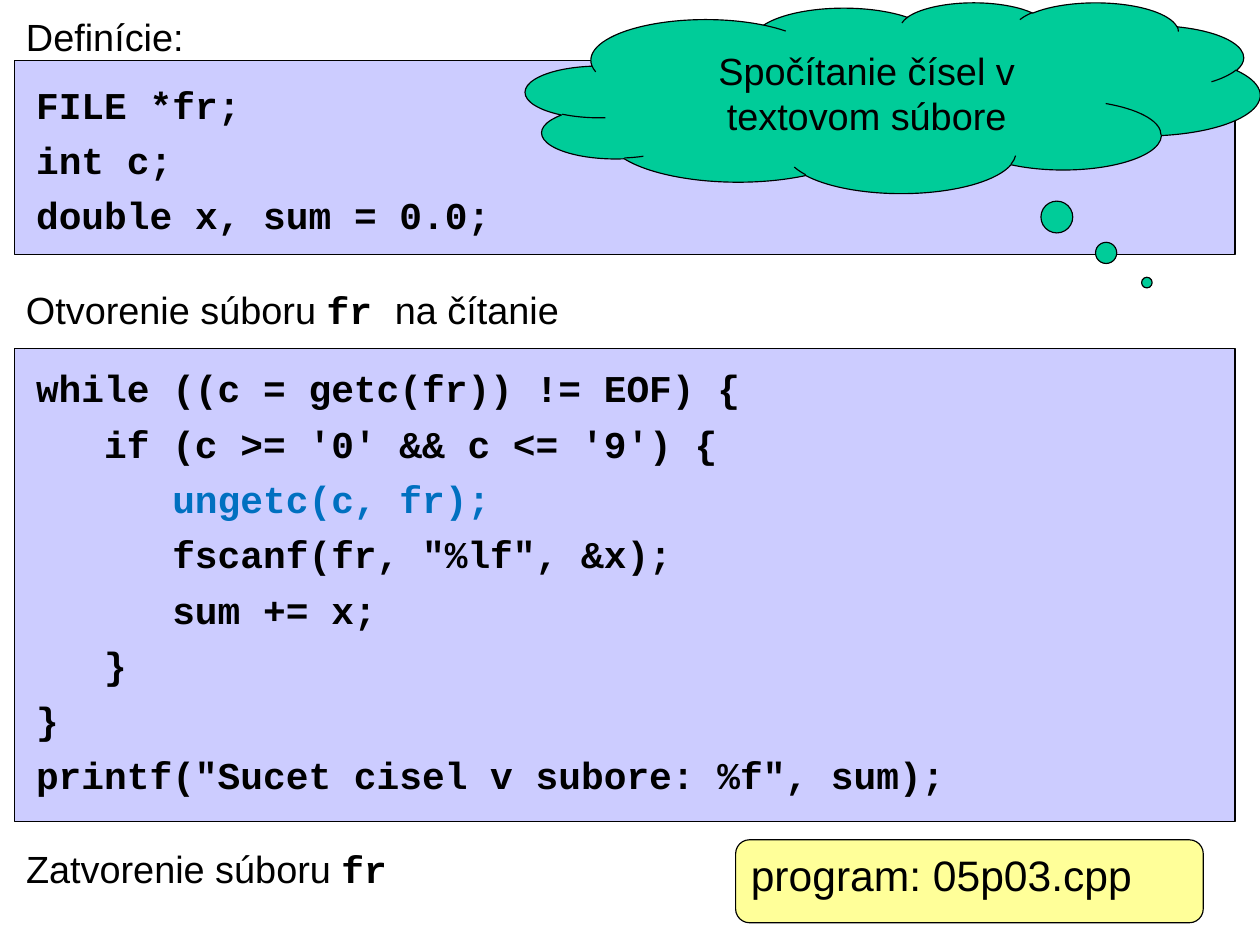
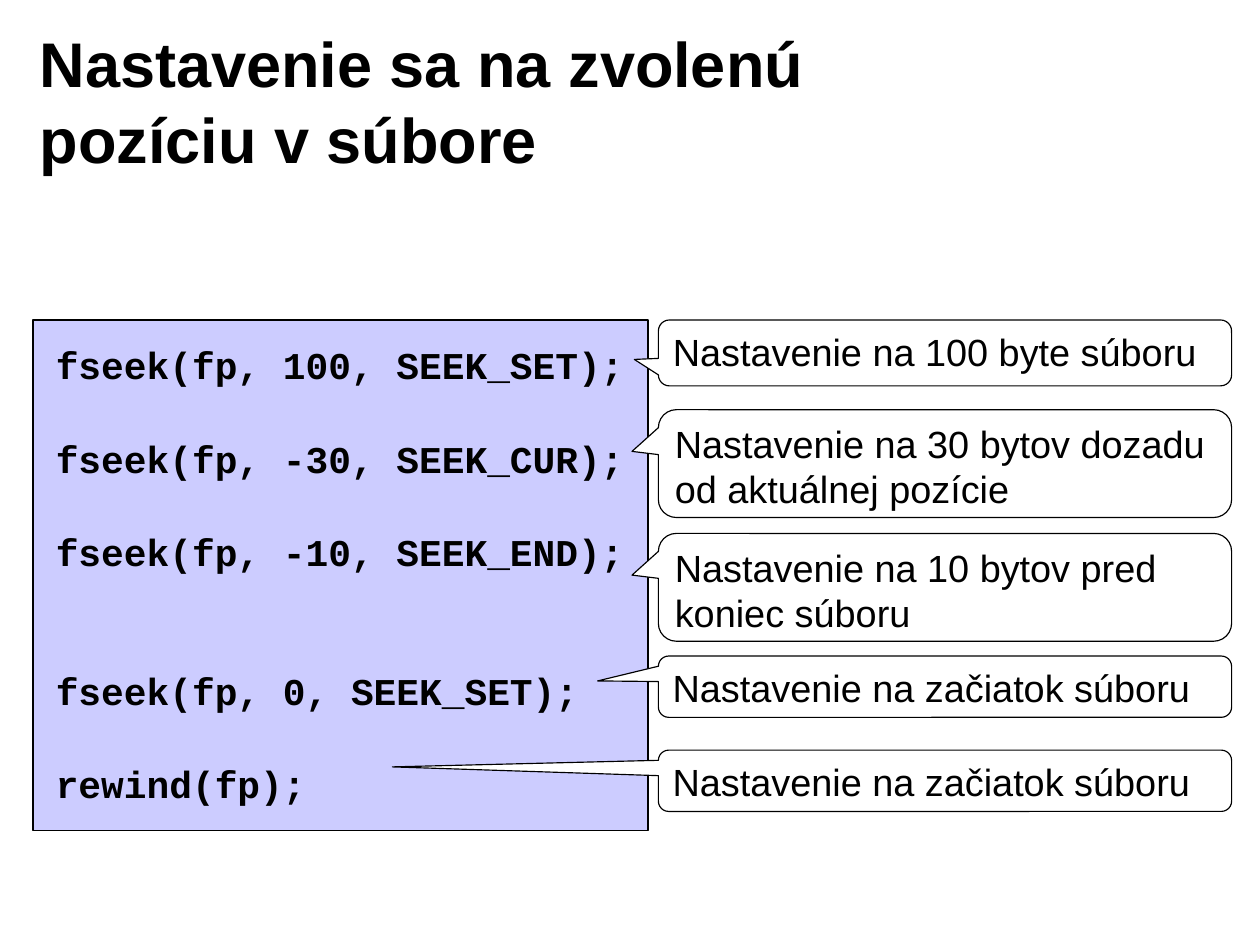
from pptx import Presentation
from pptx.dml.color import RGBColor
from pptx.enum.shapes import MSO_SHAPE
from pptx.enum.text import MSO_ANCHOR, MSO_AUTO_SIZE, PP_ALIGN
from pptx.util import Pt

BLACK = RGBColor(0x00, 0x00, 0x00)
WHITE = RGBColor(0xFF, 0xFF, 0xFF)
LAVENDER = RGBColor(0xCC, 0xCC, 0xFF)
GREEN = RGBColor(0x00, 0xCC, 0x99)
YELLOW = RGBColor(0xFF, 0xFF, 0x99)
BLUE = RGBColor(0x00, 0x70, 0xC0)

RECTANGLE = MSO_SHAPE.RECTANGLE
ROUNDED = MSO_SHAPE.ROUNDED_RECTANGLE
CLOUD = MSO_SHAPE.CLOUD_CALLOUT
WEDGE = MSO_SHAPE.ROUNDED_RECTANGULAR_CALLOUT
LEFT, CENTER = PP_ALIGN.LEFT, PP_ALIGN.CENTER
TOP, MIDDLE = MSO_ANCHOR.TOP, MSO_ANCHOR.MIDDLE
NO_AUTOFIT = MSO_AUTO_SIZE.NONE

TITLE_ONLY, BLANK = 5, 6
CORNER = 0.167


class Deck:
    """The style of the deck and the slide being filled; boxes are (left, top, width, height)."""

    text_font, code_font = "Arial", "Courier New"
    text_size, title_size = 24, 40
    line_width = 0.75

    def __init__(self, width, height):
        self.presentation = Presentation()
        self.presentation.slide_width = Pt(width)
        self.presentation.slide_height = Pt(height)
        self.slide = None

    def new_slide(self, layout):
        layouts = self.presentation.slide_layouts
        self.slide = self.presentation.slides.add_slide(layouts[layout])

    def add_run(self, paragraph, text, size=text_size, code=False, bold=False, color=BLACK):
        run = paragraph.add_run()
        run.text = text
        run.font.name = self.code_font if code else self.text_font
        run.font.size = Pt(size)
        run.font.bold = code or bold
        run.font.color.rgb = color

    def title(self, text, box):
        title = self.slide.shapes.title
        title.left, title.top, title.width, title.height = map(Pt, box)
        frame = title.text_frame
        frame.auto_size = NO_AUTOFIT
        frame.vertical_anchor = TOP
        frame.paragraphs[0].alignment = LEFT
        self.add_run(frame.paragraphs[0], text, self.title_size, bold=True)

    def label(self, box, *parts):
        """Add one unwrapped line; each part is (text, is_code)."""
        frame = self.slide.shapes.add_textbox(*map(Pt, box)).text_frame
        frame.word_wrap = False
        for text, is_code in parts:
            self.add_run(frame.paragraphs[0], text, code=is_code)

    def code(self, box, lines, gaps, highlight=None):
        """Add code lines; gaps holds the space before each line after the first."""
        frame = self.slide.shapes.add_textbox(*map(Pt, box)).text_frame
        frame.word_wrap = True
        for index, line in enumerate(lines):
            paragraph = frame.add_paragraph() if index else frame.paragraphs[0]
            if index:
                paragraph.space_before = Pt(gaps[index - 1])
            color = BLUE if line.strip() == highlight else BLACK
            self.add_run(paragraph, line, code=True, color=color)

    def shape(self, kind, box, fill, adjustments=(), text="", size=text_size,
              align=LEFT, anchor=TOP):
        shape = self.slide.shapes.add_shape(kind, *map(Pt, box))
        shape.shadow.inherit = False
        shape.fill.solid()
        shape.fill.fore_color.rgb = fill
        shape.line.color.rgb = BLACK
        shape.line.width = Pt(self.line_width)
        for index, value in enumerate(adjustments):
            shape.adjustments[index] = value
        if text:
            frame = shape.text_frame
            frame.word_wrap = True
            frame.vertical_anchor = anchor
            frame.paragraphs[0].alignment = align
            self.add_run(frame.paragraphs[0], text, size)


def build_sum_slide(deck):
    declarations = ["FILE *fr;", "int c;", "double x, sum = 0.0;"]
    reading_loop = [
        "while ((c = getc(fr)) != EOF) {",
        "   if (c >= '0' && c <= '9') {",
        "      ungetc(c, fr);",
        "      fscanf(fr, \"%lf\", &x);",
        "      sum += x;",
        "   }",
        "}",
        "printf(\"Sucet cisel v subore: %f\", sum);",
    ]
    line_gap = 6.3
    panel_left, panel_width, code_left = 9.4, 774, 15.8

    deck.new_slide(BLANK)
    for top, height in ((38.2, 123.1), (221, 300.2)):
        deck.shape(RECTANGLE, (panel_left, top, panel_width, height), LAVENDER)
    deck.code((code_left, 48, 378, 99.4), declarations, [line_gap] * 2)
    deck.code((code_left, 228, 726, 293), reading_loop, [line_gap] * 7, "ungetc(c, fr);")
    deck.label((panel_left, 5, 116, 36), ("Definície:", False))
    deck.label((panel_left, 178.6, 363, 36.7),
               ("Otvorenie súboru ", False), ("fr ", True), ("na čítanie", False))
    deck.label((panel_left, 532.8, 252.7, 36), ("Zatvorenie súboru ", False), ("fr", True))
    deck.shape(CLOUD, (333.4, 1.4, 465.8, 121), GREEN, (0.346, 0.97),
               "Spočítanie čísel v textovom súbore", align=CENTER, anchor=MIDDLE)
    deck.shape(ROUNDED, (466.6, 532.8, 296.6, 52.6), YELLOW, (CORNER,),
               "program: 05p03.cpp", size=27)


def build_position_slide(deck):
    calls = [
        "fseek(fp, 100, SEEK_SET);",
        "fseek(fp, -30, SEEK_CUR);",
        "fseek(fp, -10, SEEK_END);",
        "fseek(fp, 0, SEEK_SET);",
        "rewind(fp);",
    ]
    to_start = "Nastavenie na začiatok súboru"
    # top, height, pointer x, pointer y, text
    explanations = [
        (203, 41.8, -0.542, 0.099, "Nastavenie na 100 byte súboru"),
        (259.9, 68.4, -0.546, -0.113, "Nastavenie na 30 bytov dozadu od aktuálnej pozície"),
        (338.4, 68.4, -0.546, -0.113, "Nastavenie na 10 bytov pred koniec súboru"),
        (416.2, 38.9, -0.606, -0.094, to_start),
        (475.9, 38.9, -0.964, -0.226, to_start),
    ]

    deck.new_slide(TITLE_ONLY)
    deck.shape(RECTANGLE, (20.9, 203, 390.2, 324), LAVENDER)
    deck.code((28.3, 213, 742.3, 298.8), calls, [31, 30, 59.7, 30])
    deck.title("Nastavenie sa na zvolenú pozíciu v súbore", (18, 12.2, 642.2, 73.4))
    for top, height, pointer_x, pointer_y, text in explanations:
        deck.shape(WEDGE, (417.6, top, 363.6, height), WHITE,
                   (pointer_x, pointer_y, CORNER), text)


def main():
    deck = Deck(799.2, 597.6)
    build_sum_slide(deck)
    build_position_slide(deck)
    deck.presentation.save("out.pptx")


if __name__ == "__main__":
    main()
